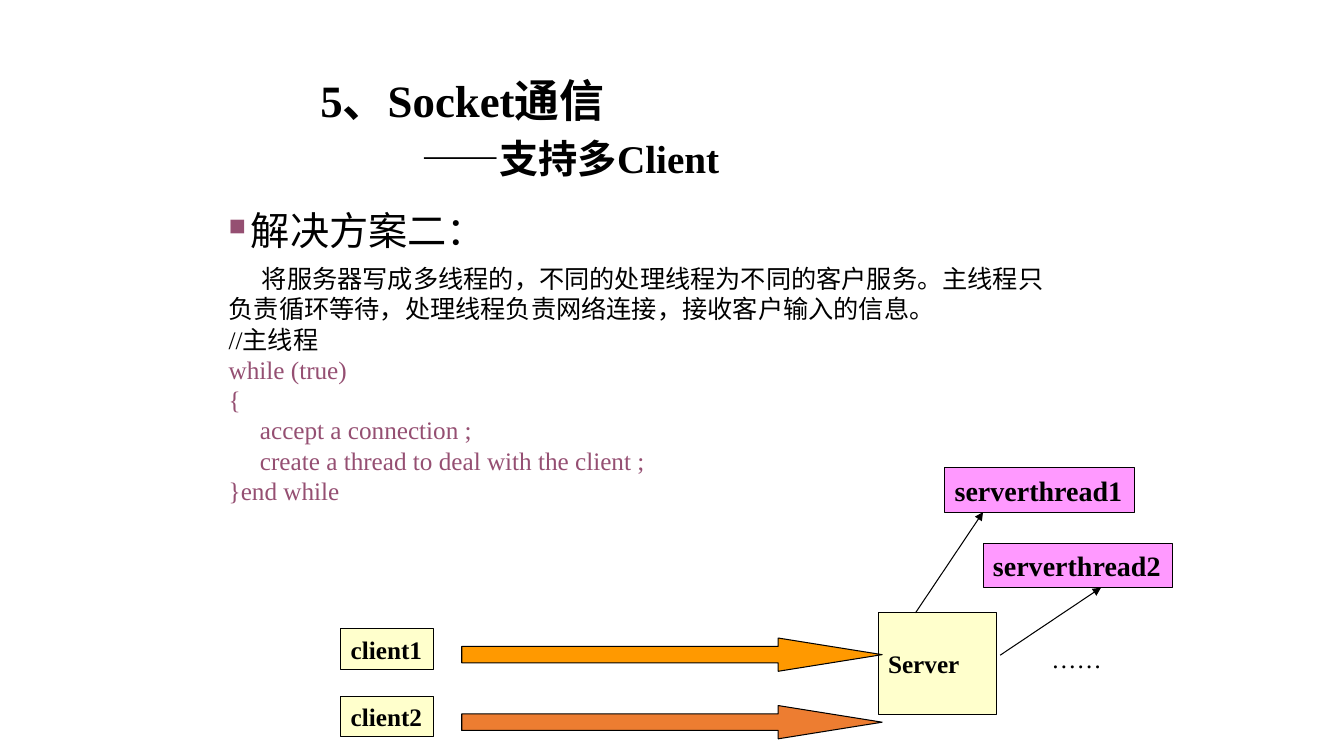
from lxml import etree
from pptx import Presentation
from pptx.dml.color import RGBColor
from pptx.enum.shapes import MSO_CONNECTOR, MSO_SHAPE
from pptx.enum.text import MSO_ANCHOR
from pptx.oxml.ns import qn
from pptx.util import Inches, Pt

RECT, ARROW = MSO_SHAPE.RECTANGLE, MSO_SHAPE.RIGHT_ARROW
STRAIGHT = MSO_CONNECTOR.STRAIGHT
TOP, MIDDLE = MSO_ANCHOR.TOP, MSO_ANCHOR.MIDDLE
FONT = "Times New Roman"
BLACK = RGBColor(0x00, 0x00, 0x00)
PLUM = RGBColor(0x95, 0x4F, 0x72)
CREAM = RGBColor(0xFF, 0xFF, 0xCC)
PINK = RGBColor(0xFF, 0x99, 0xFF)
AMBER = RGBColor(0xFF, 0x99, 0x00)
ORANGE = RGBColor(0xED, 0x7D, 0x31)

TITLE = [
    ("5、Socket通信", dict(size=32, bold=True)),
    ("——支持多Client", dict(size=28, bold=True, before=5.6, left=1)),
]
BODY = [
    ("解决方案二：", dict(size=28, left=0.22, first=-0.22, bullet="■")),
    ("将服务器写成多线程的，不同的处理线程为不同的客户服务。主线程只"
     "负责循环等待，处理线程负责网络连接，接收客户输入的信息。",
     dict(before=7, first=0.33)),
    ("//主线程", {}),
    ("while (true)", dict(color=PLUM)),
    ("{", dict(color=PLUM)),
    ("accept a connection ;", dict(color=PLUM, left=0.31)),
    ("create a thread to deal with the client ;", dict(color=PLUM, left=0.31)),
    ("}end while", dict(color=PLUM)),
]
# text, left, top, width, height, fill, font size, wrap
BOXES = [
    ("Server", 8.71, 6.08, 1.17, 1.01, CREAM, 18, True),
    ("serverthread2", 9.75, 5.39, 1.88, 0.44, PINK, 20, False),
    ("serverthread1", 9.37, 4.64, 1.88, 0.44, PINK, 20, False),
]
CLIENTS = [("client1", AMBER), ("client2", ORANGE)]
CLIENT_TOP, ARROW_TOP, CLIENT_STEP = 6.24, 6.33, 0.67
THREAD_LINES = [(9.08, 6.08, 9.75, 5.08), (9.92, 6.5, 10.92, 5.83)]


def add_text(tf, text, size=18, color=BLACK, bold=False, before=0,
             left=0, first=0, bullet=None):
    """Write one paragraph, using the empty first one if there is one."""
    p = tf.paragraphs[0]
    if p.runs:
        p = tf.add_paragraph()
    p.space_before = Pt(before)
    pPr = p._p.get_or_add_pPr()
    pPr.set("marL", str(Inches(left)))
    pPr.set("indent", str(Inches(first)))
    if bullet:
        clr = etree.SubElement(pPr, qn("a:buClr"))
        etree.SubElement(clr, qn("a:srgbClr"), val=str(PLUM))
        etree.SubElement(pPr, qn("a:buSzPct"), val="60000")
        etree.SubElement(pPr, qn("a:buChar"), char=bullet)
    r = p.add_run()
    r.text = text
    r.font.name, r.font.size, r.font.bold = FONT, Pt(size), bold
    r.font.color.rgb = color


def add_text_box(s, at, paragraphs, wrap=True):
    """Add a text box holding formatted paragraphs."""
    tf = s.shapes.add_textbox(*map(Inches, at)).text_frame
    tf.word_wrap, tf.vertical_anchor = wrap, TOP
    for text, fmt in paragraphs:
        add_text(tf, text, **fmt)


def add_outlined(s, kind, at, fill):
    """Add a filled shape with a thin black outline."""
    sp = s.shapes.add_shape(kind, *map(Inches, at))
    sp.shadow.inherit = False
    sp.fill.solid()
    sp.fill.fore_color.rgb = fill
    sp.line.color.rgb, sp.line.width = BLACK, Pt(0.75)
    return sp


def add_box(s, text, left, top, width, height, fill, size, wrap):
    """Add a labelled rectangle."""
    sp = add_outlined(s, RECT, (left, top, width, height), fill)
    tf = sp.text_frame
    tf.word_wrap, tf.vertical_anchor = wrap, MIDDLE
    add_text(tf, text, size=size, bold=True)
    tf.paragraphs[0]._p.get_or_add_pPr().set("algn", "l")


def add_thread_line(s, ends):
    """Add a thin line with an arrowhead at its end."""
    cx = s.shapes.add_connector(STRAIGHT, *map(Inches, ends))
    cx.line.color.rgb, cx.line.width = BLACK, Pt(0.75)
    etree.SubElement(cx.line._get_or_add_ln(), qn("a:tailEnd"), type="triangle")
    etree.SubElement(cx._element.spPr, qn("a:effectLst"))


prs = Presentation()
prs.slide_width, prs.slide_height = Inches(13.33), Inches(7.5)
s = prs.slides.add_slide(prs.slide_layouts[6])

add_text_box(s, (2.17, 2, 8.33, 3.1), BODY)
add_text_box(s, (3.08, 0.67, 6.5, 1.19), TITLE)
for box in BOXES:
    add_box(s, *box)
for ends in THREAD_LINES:
    add_thread_line(s, ends)
for i, (name, fill) in enumerate(CLIENTS):
    drop = i * CLIENT_STEP
    add_box(s, name, 3.38, CLIENT_TOP + drop, 0.92, 0.4, CREAM, 18, False)
    sp = add_outlined(s, ARROW, (4.58, ARROW_TOP + drop, 4.17, 0.33), fill)
    sp.adjustments[0], sp.adjustments[1] = 0.5, 3.125
add_text_box(s, (10.33, 6.33, 0.71, 0.4), [("……", {})], wrap=False)

prs.save("out.pptx")
